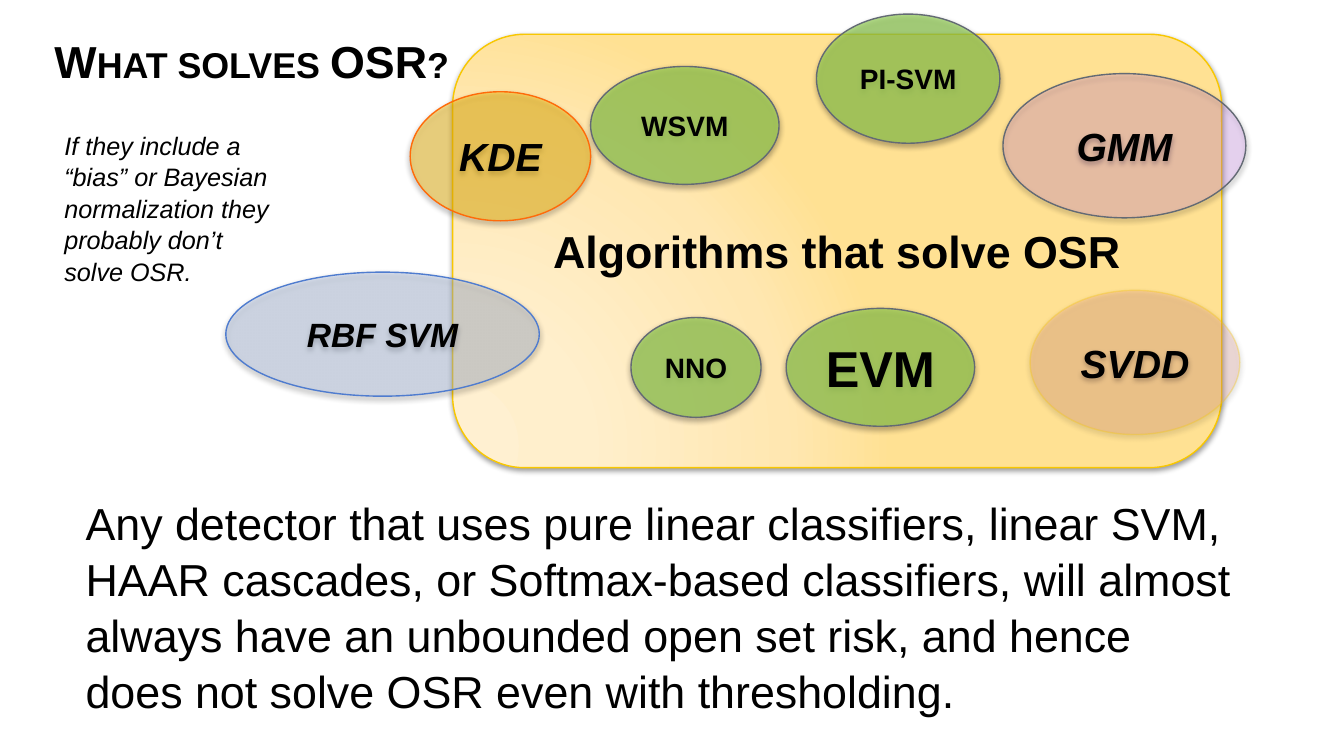
from dataclasses import dataclass

import lxml.etree
import pptx
import pptx.dml.color
import pptx.enum.shapes
import pptx.enum.text
import pptx.oxml
import pptx.oxml.ns
import pptx.util

Pt = pptx.util.Pt
SHAPES = pptx.enum.shapes.MSO_SHAPE
ANCHOR = pptx.enum.text.MSO_ANCHOR
ALIGN = pptx.enum.text.PP_ALIGN

COLORS = {
    "text": "000000",
    "gold": "F8C700",
    "slate": "636A74",
    "green": "92D050",
    "blue": "ACC1E8",
    "blue_edge": "4F7CCF",
    "violet": "D883FF",
    "salmon": "F19E91",
    "amber": "FFC000",
    "orange": "FF6B0A",
}
PANEL_STOPS = ((0, "FFF0D1"), (30, "FFEFCC"), (75, "FFE7B1"), (100, "FFE193"))
PANEL_FOCUS = {"l": 5, "t": 100, "r": 120, "b": 10}


@dataclass(frozen=True)
class Box:
    left: float
    top: float
    width: float
    height: float

    def lengths(self) -> tuple:
        return Pt(self.left), Pt(self.top), Pt(self.width), Pt(self.height)


@dataclass(frozen=True)
class Algorithm:
    label: str
    box: Box
    size: int
    fill: str = "green"
    opacity: int = 65
    edge: str = "slate"
    edge_opacity: int = 100
    italic: bool = False


ALGORITHMS = (
    Algorithm("RBF SVM", Box(161.3, 194.4, 223.9, 88.6), 24, "blue", 35, "blue_edge", italic=True),
    Algorithm("GMM", Box(716.4, 52.6, 173.5, 103), 28, "violet", 23, italic=True),
    Algorithm("SVDD", Box(735.8, 207.4, 149.8, 103), 28, "salmon", 24, "gold", 31, italic=True),
    Algorithm("WSVM", Box(421.9, 47.5, 134.6, 84.2), 20),
    Algorithm("PI-SVM", Box(583.2, 10.1, 131, 92.2), 20),
    Algorithm("KDE", Box(293, 65.5, 128.9, 92.2), 28, "amber", 42, "orange", italic=True),
    Algorithm("EVM", Box(561.6, 220.3, 134.6, 84.2), 36),
    Algorithm("NNO", Box(450.7, 226.8, 92.9, 71.3), 20),
)


def rgb(name: str) -> pptx.dml.color.RGBColor:
    return pptx.dml.color.RGBColor.from_string(COLORS[name])


def add_element(parent, tag: str, **attributes):
    element = lxml.etree.SubElement(parent, pptx.oxml.ns.qn(tag))
    for name, value in attributes.items():
        element.set(name, str(value))
    return element


def set_opacity(fill_parent, percent: int) -> None:
    if percent < 100:
        color = fill_parent.find(".//" + pptx.oxml.ns.qn("a:srgbClr"))
        add_element(color, "a:alpha", val=percent * 1000)


def write(shape, text: str, size: int, anchor, align=ALIGN.LEFT, spacing: float = 1.0, **emphasis):
    frame = shape.text_frame
    frame_format = {"word_wrap": True, "vertical_anchor": anchor,
                    "auto_size": pptx.enum.text.MSO_AUTO_SIZE.NONE}
    for name, value in frame_format.items():
        setattr(frame, name, value)
    paragraph = frame.paragraphs[0]
    paragraph_format = {"alignment": align, "line_spacing": spacing, "space_before": Pt(0)}
    for name, value in paragraph_format.items():
        setattr(paragraph, name, value)
    run = paragraph.add_run()
    run.text = text
    font_format = {"name": "Arial", "size": Pt(size), "bold": False, "italic": False, **emphasis}
    for name, value in font_format.items():
        setattr(run.font, name, value)
    run.font.color.rgb = rgb("text")
    return run


def add_shadowed(slide, kind, box: Box, edge: str):
    shape = slide.shapes.add_shape(kind, *box.lengths())
    shape.line.color.rgb = rgb(edge)
    shape.line.width = Pt(1)
    shape.shadow.inherit = False
    effects = shape.element.spPr.find(pptx.oxml.ns.qn("a:effectLst"))
    shadow = add_element(effects, "a:outerShdw", blurRad=Pt(4), dist=Pt(2),
                         dir=90 * 60000, rotWithShape=0)
    color = add_element(shadow, "a:srgbClr", val=COLORS["text"])
    add_element(color, "a:alpha", val=40000)
    return shape


def add_panel(slide) -> None:
    panel = add_shadowed(slide, SHAPES.FLOWCHART_ALTERNATE_PROCESS,
                         Box(323.3, 24.5, 549.4, 309.6), "gold")
    panel.fill.gradient()
    gradient = panel.element.spPr.find(pptx.oxml.ns.qn("a:gradFill"))
    for child in list(gradient):
        gradient.remove(child)
    stops = add_element(gradient, "a:gsLst")
    for position, color in PANEL_STOPS:
        stop = add_element(stops, "a:gs", pos=position * 1000)
        add_element(stop, "a:srgbClr", val=color)
    circle = add_element(gradient, "a:path", path="circle")
    focus = {side: percent * 1000 for side, percent in PANEL_FOCUS.items()}
    add_element(circle, "a:fillToRect", **focus)
    write(panel, "Algorithms that solve OSR", 32, ANCHOR.MIDDLE, ALIGN.CENTER, bold=True)


def add_algorithm(slide, algorithm: Algorithm) -> None:
    ellipse = add_shadowed(slide, SHAPES.OVAL, algorithm.box, algorithm.edge)
    ellipse.fill.solid()
    ellipse.fill.fore_color.rgb = rgb(algorithm.fill)
    properties = ellipse.element.spPr
    set_opacity(properties.find(pptx.oxml.ns.qn("a:solidFill")), algorithm.opacity)
    set_opacity(properties.find(pptx.oxml.ns.qn("a:ln")), algorithm.edge_opacity)
    write(ellipse, algorithm.label, algorithm.size, ANCHOR.MIDDLE, ALIGN.CENTER,
          bold=True, italic=algorithm.italic)


def add_title(slide) -> None:
    title = slide.shapes.title
    title.left, title.top, title.width, title.height = Box(31.7, 12.2, 895.7, 54).lengths()
    heading = write(title, "What solves OSR?", 32, ANCHOR.BOTTOM, bold=True)
    heading.font._element.set("cap", "small")


def add_text(slide, box: Box, text: str, size: int, italic: bool = False) -> None:
    passage = slide.shapes.add_textbox(*box.lengths())
    write(passage, text, size, ANCHOR.TOP, spacing=1.04, italic=italic)


def main() -> None:
    presentation = pptx.Presentation()
    presentation.slide_width, presentation.slide_height = Pt(960), Pt(540)
    slide = presentation.slides.add_slide(presentation.slide_layouts[5])
    add_title(slide)
    add_panel(slide)
    for algorithm in ALGORITHMS:
        add_algorithm(slide, algorithm)
    add_text(slide, Box(38.9, 88.6, 169.9, 116.6),
             "If they include a “bias” or Bayesian normalization they probably don’t solve OSR.",
             18, italic=True)
    add_text(slide, Box(54, 349.2, 835.9, 190.8),
             "Any detector that uses pure linear classifiers, linear SVM, HAAR cascades, "
             "or Softmax-based classifiers, will almost always have an unbounded open set risk, "
             "and hence does not solve OSR even with thresholding.", 32)
    presentation.save("out.pptx")


if __name__ == "__main__":
    main()
